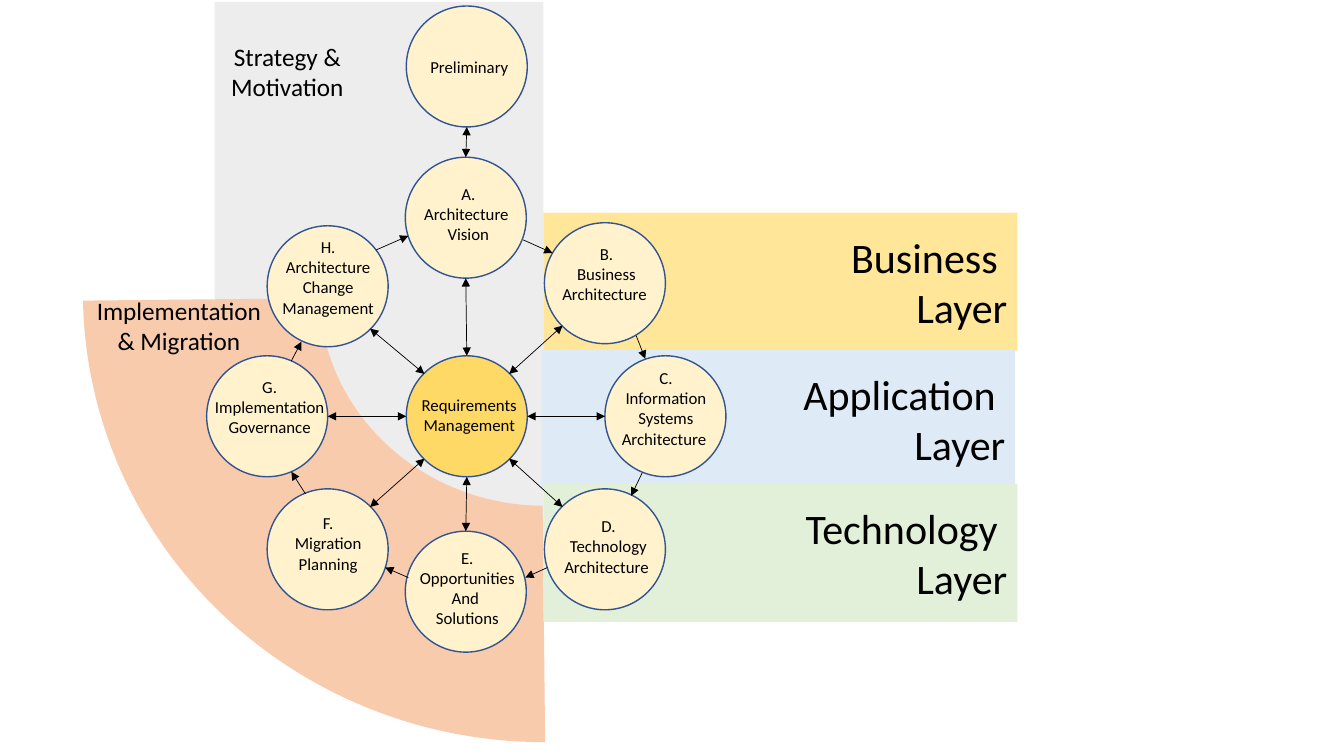
from dataclasses import dataclass

import pptx
import pptx.dml.color
import pptx.enum.shapes
import pptx.enum.text
import pptx.oxml
import pptx.oxml.ns
import pptx.util

Shape = pptx.enum.shapes.MSO_SHAPE
Align = pptx.enum.text.PP_ALIGN
Anchor = pptx.enum.text.MSO_ANCHOR

# Slide grid: positions are counted in columns and rows
WIDTH, HEIGHT = pptx.util.Inches(13.33), pptx.util.Inches(7.5)
COLS, ROWS = 13.33, 7.5
FONT = "Calibri"
SIZE = 1.2          # circle width
HALF = SIZE / 2
DIAG = 0.42         # offset of a circle's 45-degree point
WIDE = 1.53         # label width

COLORS = {
    "black": "000000", "rim": "325491", "cream": "FFF2CC", "gold": "FFD966",
    "grey": "EDEDED", "peach": "F8CBAD", "yellow": "FFE699",
    "blue": "DEEBF7", "green": "E2F0D9",
}


@dataclass
class Layer:
    text: str
    x: float
    y: float
    fill: str


@dataclass
class Phase:
    text: str
    x: float         # circle corner
    y: float
    left: float      # label corner
    top: float
    fill: str = "cream"
    side: tuple[int, int] | None = None   # direction from the hub
    align: Align = Align.CENTER
    wide: float = WIDE


LAYERS = [
    Layer("Business \nLayer", 5.39, 2.11, "yellow"),
    Layer("Application \nLayer", 5.37, 3.47, "blue"),
    Layer("Technology \nLayer", 5.39, 4.8, "green"),
]

PHASES = [
    Phase("Preliminary", 4.03, 0.06, 4.17, 0.51, align=Align.LEFT, wide=SIZE),
    Phase("A.\nArchitecture \nVision", 4.02, 1.56, 3.88, 1.77, side=(0, -1)),
    Phase("B.\nBusiness\nArchitecture ", 5.4, 2.21, 5.25, 2.37, side=(1, -1)),
    Phase("C.\nInformation\nSystems\nArchitecture ", 6, 3.53, 5.84, 3.6, side=(1, 0)),
    Phase("D.\nTechnology\nArchitecture ", 5.4, 4.85, 5.27, 5.07, side=(1, 1)),
    Phase("E.\nOpportunities\nAnd \nSolutions", 4.02, 5.27, 3.87, 5.38, side=(0, 1)),
    Phase("F.\nMigration\nPlanning", 2.65, 4.85, 2.49, 5.04, side=(-1, 1)),
    Phase("G.\nImplementation\nGovernance", 2.05, 3.53, 1.91, 3.69, side=(-1, 0)),
    Phase("H.\nArchitecture Change\nManagement", 2.65, 2.24, 2.49, 2.3, side=(-1, -1)),
]
HUB = Phase("Requirements\nManagement", 4.03, 3.53, 3.89, 3.87, "gold")

# Arrows round the ring, from A to B and on to H to A
RING = [
    (5.19, 2.38, 5.48, 2.51), (6.31, 3.33, 6.4, 3.56),
    (6.37, 4.69, 6.26, 4.92), (5.43, 5.63, 5.21, 5.73),
    (4.05, 5.73, 3.82, 5.63), (3.03, 4.9, 2.89, 4.68),
    (2.89, 3.58, 2.99, 3.39), (3.73, 2.48, 4.05, 2.34),
]


def col(n: float) -> int:
    return round(WIDTH * n / COLS)


def row(n: float) -> int:
    return round(HEIGHT * n / ROWS)


def tint(name: str) -> pptx.dml.color.RGBColor:
    return pptx.dml.color.RGBColor.from_string(COLORS[name])


def draw(kind: Shape, x: float, y: float, w: float, h: float,
         fill: str, rim: str | None = None):
    shape = slide.shapes.add_shape(kind, col(x), row(y), col(w), row(h))
    shape.shadow.inherit = False
    shape.fill.solid()
    shape.fill.fore_color.rgb = tint(fill)
    if rim:
        shape.line.color.rgb = tint(rim)
        shape.line.width = pptx.util.Pt(1)
    else:
        shape.line.fill.background()
    return shape


def write(shape, text: str, size: float, align: Align) -> None:
    frame = shape.text_frame
    frame.word_wrap = True
    frame.text = text
    for para in frame.paragraphs:
        para.alignment = align
        for run in para.runs:
            run.font.name = FONT
            run.font.size = pptx.util.Pt(size)
            run.font.color.rgb = tint("black")


def label(text: str, x: float, y: float, w: float, h: float,
          size: float = 12, align: Align = Align.CENTER) -> None:
    box = slide.shapes.add_textbox(col(x), row(y), col(w), row(h))
    write(box, text, size, align)


def arrow(x1: float, y1: float, x2: float, y2: float, both: bool = False) -> None:
    line = slide.shapes.add_connector(
        pptx.enum.shapes.MSO_CONNECTOR.STRAIGHT, col(x1), row(y1), col(x2), row(y2))
    line.line.color.rgb = tint("black")
    line.line.width = pptx.util.Pt(0.5)
    for end in ("headEnd", "tailEnd") if both else ("tailEnd",):
        tip = pptx.oxml.parse_xml(
            f'<a:{end} {pptx.oxml.ns.nsdecls("a")} type="triangle"/>')
        line.line._get_or_add_ln().append(tip)
    line._element.spPr.append(
        pptx.oxml.parse_xml(f'<a:effectLst {pptx.oxml.ns.nsdecls("a")}/>'))


def rim_point(phase: Phase, dx: int, dy: int) -> tuple[float, float]:
    reach = DIAG if dx and dy else HALF
    return phase.x + HALF + dx * reach, phase.y + HALF + dy * reach


deck = pptx.Presentation()
deck.slide_width, deck.slide_height = WIDTH, HEIGHT
slide = deck.slides.add_slide(deck.slide_layouts[6])

# Background areas
draw(Shape.RECTANGLE, 2.13, 0.02, 3.26, 5.34, "grey")
arc = draw(Shape.BLOCK_ARC, 0.82, -1.49, 9.08, 8.85, "peach")
arc.rotation = 188
for i, value in enumerate((156.84, 210.84, 0.265)):
    arc.adjustments[i] = value
for layer in LAYERS:
    band = draw(Shape.RECTANGLE, layer.x, layer.y, 4.7, 1.37, layer.fill)
    band.text_frame.vertical_anchor = Anchor.MIDDLE
    write(band, layer.text, 30, Align.RIGHT)

# Circles
for phase in [*PHASES, HUB]:
    draw(Shape.OVAL, phase.x, phase.y, SIZE, SIZE, phase.fill, "rim")

# Arrows: first link, spokes of the hub, ring
arrow(*rim_point(PHASES[0], 0, 1), *rim_point(PHASES[1], 0, -1), both=True)
for phase in PHASES:
    if phase.side:
        dx, dy = phase.side
        arrow(*rim_point(phase, -dx, -dy), *rim_point(HUB, dx, dy), both=True)
for ends in RING:
    arrow(*ends)

# Labels
label("Strategy &\nMotivation", 2.05, 0.36, 1.6, 0.71, 18)
label("Implementation\n& Migration", 0.86, 2.88, 1.83, 0.71, 18)
for phase in [*PHASES, HUB]:
    lines = phase.text.count("\n") + 1
    label(phase.text, phase.left, phase.top, phase.wide, 0.1 + 0.2 * lines,
          align=phase.align)

deck.save("out.pptx")
